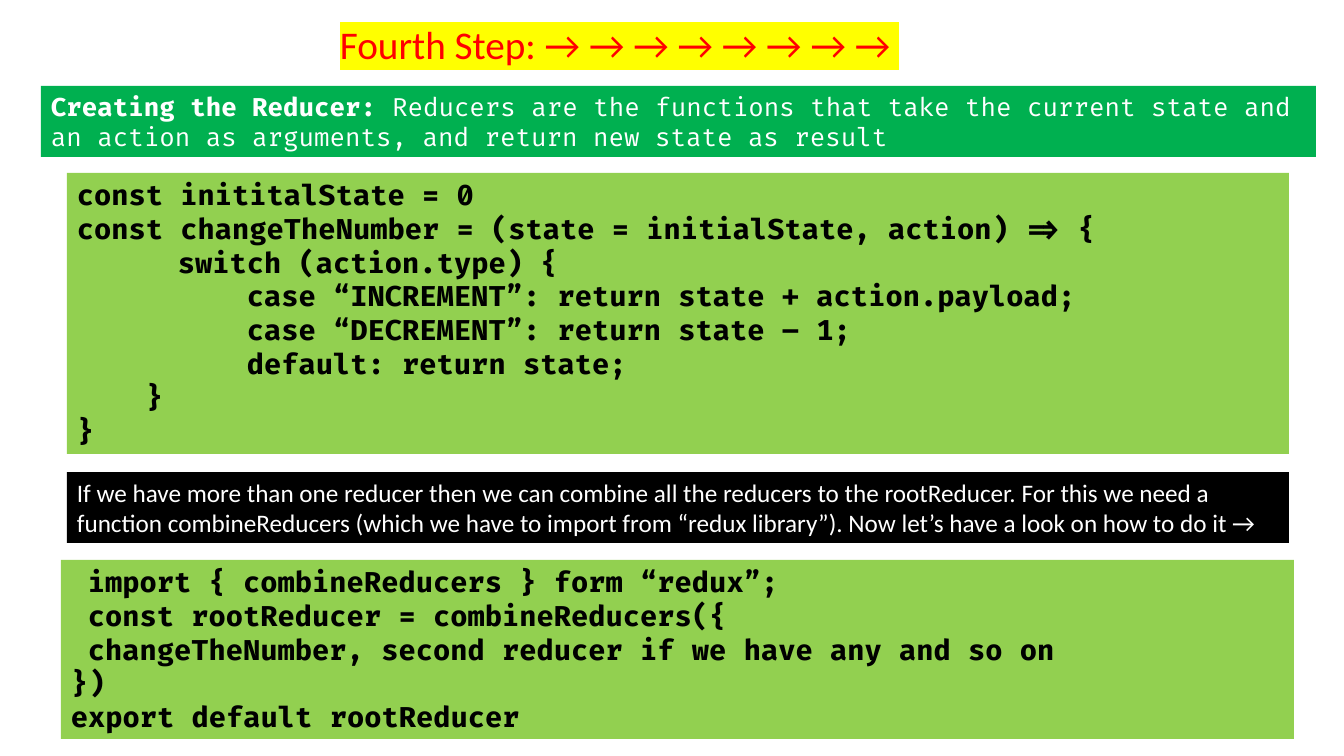
"""Build the slide on creating and combining reducers."""
from lxml.etree import SubElement
from pptx import Presentation
from pptx.dml.color import RGBColor
from pptx.enum.shapes import MSO_SHAPE
from pptx.enum.text import MSO_ANCHOR, PP_ALIGN
from pptx.oxml.ns import qn
from pptx.util import Pt

SCALE = 914400 / 100.8
COLORS = {
    "red": "FF0000",
    "yellow": "FFFF00",
    "green": "00B050",
    "lime": "92D050",
    "black": "000000",
    "white": "FFFFFF",
}


def px(pixels):
    return round(pixels * SCALE)


def write_lines(shape, lines, font_name, size, color, bold=False, align=PP_ALIGN.LEFT):
    frame = shape.text_frame
    frame.word_wrap = True
    for index, (indent, runs) in enumerate(lines):
        paragraph = frame.paragraphs[0] if index == 0 else frame.add_paragraph()
        paragraph.alignment = align
        if indent:
            paragraph._p.get_or_add_pPr().set("marL", str(px(indent)))
        font = paragraph.font
        font.name, font.size, font.bold = font_name, Pt(size), bold
        font.color.rgb = RGBColor.from_string(COLORS[color])
        for text in runs:
            paragraph.add_run().text = text


presentation = Presentation()
presentation.slide_width, presentation.slide_height = px(1344), px(756)
slide = presentation.slides.add_slide(presentation.slide_layouts[6])

title = slide.shapes.add_textbox(px(151), px(15), px(937), px(57))
title_text = "Fourth Step: " + "→ " * 8
write_lines(title, [(0, [title_text])], "Calibri", 28, "red", align=PP_ALIGN.CENTER)
title_run = title.text_frame.paragraphs[0].runs[0]
highlight = SubElement(title_run._r.get_or_add_rPr(), qn("a:highlight"))
SubElement(highlight, qn("a:srgbClr")).set("val", COLORS["yellow"])

definition = [(0, [
    "Creating the Reducer: ",
    "Reducers are the functions that take the current state and an action as "
    "arguments, and return new state as result",
])]
reducer_code = [
    (0, ["const inititalState = 0"]),
    (0, ["const changeTheNumber = (state = initialState, action) => {"]),
    (101, ["switch (action.type) {"]),
    (170, ["case “INCREMENT”: return state + action.payload;"]),
    (170, ["case “DECREMENT”: return state – 1;"]),
    (170, ["default: return state;"]),
    (69, ["}"]),
    (0, ["}"]),
]
combine_note = [(0, [
    "If we have more than one reducer then we can combine all the reducers to the "
    "rootReducer. For this we need a function combineReducers (which we have to import "
    "from “redux library”). Now let’s have a look on how to do it →"
])]
root_code = [
    (17, ["import { combineReducers } form “redux”;"]),
    (17, ["const rootReducer = combineReducers({"]),
    (17, ["changeTheNumber, second reducer if we have any and so on"]),
    (0, ["})"]),
    (0, ["export default rootReducer"]),
]

panels = [
    ((41, 86, 1275, 71), "green", definition, "Fira Code", 18, "white", False),
    ((67, 173, 1222, 281), "lime", reducer_code, "Fira Code", 20, "black", True),
    ((67, 472, 1222, 71), "black", combine_note, "Calibri", 18, "white", False),
    ((61, 560, 1233, 179), "lime", root_code, "Fira Code", 20, "black", True),
]
for box, fill, lines, font_name, size, color, bold in panels:
    panel = slide.shapes.add_shape(MSO_SHAPE.RECTANGLE, *map(px, box))
    panel.shadow.inherit = False
    panel.fill.solid()
    panel.fill.fore_color.rgb = RGBColor.from_string(COLORS[fill])
    panel.line.fill.background()
    panel.text_frame.vertical_anchor = MSO_ANCHOR.TOP
    write_lines(panel, lines, font_name, size, color, bold)
    if lines is definition:
        panel.text_frame.paragraphs[0].runs[0].font.bold = True

presentation.save("out.pptx")
